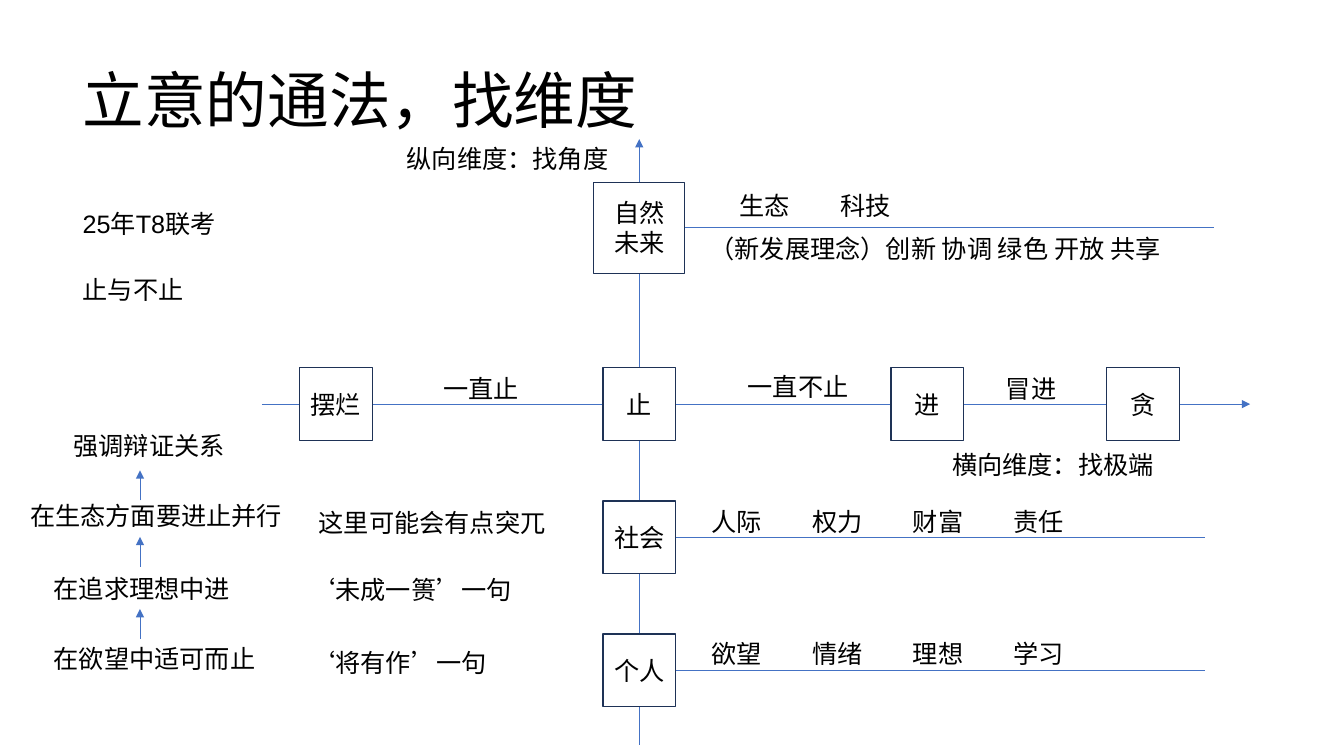
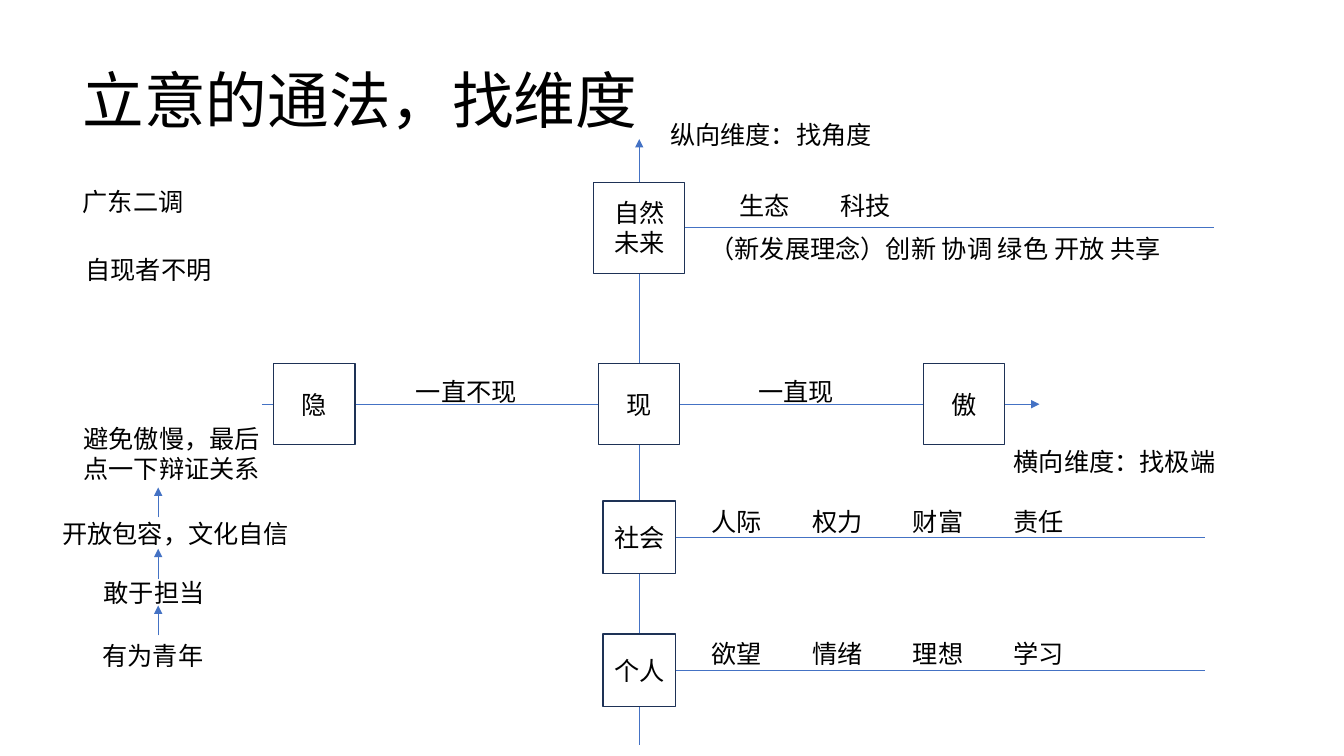
from lxml.etree import SubElement
from pptx import Presentation
from pptx.dml.color import RGBColor
from pptx.enum.lang import MSO_LANGUAGE_ID
from pptx.enum.shapes import MSO_CONNECTOR, MSO_SHAPE
from pptx.enum.text import MSO_ANCHOR, MSO_AUTO_SIZE, PP_ALIGN
from pptx.oxml.ns import qn
from pptx.util import Pt

BLACK = RGBColor(0x00, 0x00, 0x00)
WHITE = RGBColor(0xFF, 0xFF, 0xFF)
BLUE = RGBColor(0x44, 0x72, 0xC4)
NAVY = RGBColor(0x1E, 0x32, 0x56)
LATIN_FONT = "Arial"
CHINESE_FONT = "Noto Sans CJK SC"

TITLE = "立意的通法，找维度"
AXIS_X, AXIS_Y = 456.6, 288.7
AXIS_LEFT, AXIS_TOP, AXIS_BOTTOM = 187, 99.4, 532
NODE_SIZE = 52
BRANCH_LENGTH = 378
STEP_LENGTH = 21.4

# Levels of the vertical axis: name, centre height, box size
LEVELS = [("自然未来", 162.7, 65), ("社会", 383.8, NODE_SIZE), ("个人", 478.8, NODE_SIZE)]

# Notes: text, left, top, width
LEVEL_NOTES = [
    ("生态\t科技", 521.3, 132.5, 281),
    ("（新发展理念）创新 协调 绿色 开放 共享", 499.7, 163.4, 392),
    ("人际\t权力\t财富\t责任", 501, 357.8, 342),
    ("欲望\t情绪\t理想\t学习", 501, 452.5, 350),
]

STOPPING = {
    "axis_end": 893,
    "node_size": NODE_SIZE,
    "nodes": [("摆烂", 240), ("止", AXIS_X), ("进", 662.4), ("贪", 816.5)],
    "step_x": 100,
    "step_tops": [435, 383.5, 336],
    "notes": [
        ("横向维度：找极端", 673, 317.5, 169),
        ("纵向维度：找角度", 283.5, 98.6, 197),
        ("一直止", 309.6, 263, 76),
        ("一直不止", 527, 262, 103),
        ("冒进", 711.4, 262.8, 59),
        ("25年T8联考", 52, 145.5, 174),
        ("止与不止", 52, 192.5, 148),
        ("强调辩证关系", 45.5, 304, 125),
        ("在生态方面要进止并行", 14.4, 353.8, 216),
        ("在追求理想中进", 31.3, 406, 158),
        ("在欲望中适可而止", 31.3, 456.3, 174),
        ("这里可能会有点突兀", 220.5, 358.8, 192),
        ("‘未成一篑’一句", 214.5, 407, 171),
        ("‘将有作’一句", 214.5, 459, 171),
    ],
}

SHOWING = {
    "axis_end": 742.5,
    "node_size": 58,
    "nodes": [("隐", AXIS_X - 232), ("现", AXIS_X), ("傲", AXIS_X + 232)],
    "step_x": 113,
    "step_tops": [432.5, 392, 348.2],
    "notes": [
        ("横向维度：找极端", 717, 315, 169),
        ("纵向维度：找角度", 471.6, 81.8, 197),
        ("一直不现", 290, 265.2, 105),
        ("一直现", 534.5, 265.2, 105),
        ("广东二调", 52, 129.6, 144),
        ("自现者不明", 54, 178, 145),
        ("避免傲慢，最后点一下辩证关系", 52.5, 299, 145.5),
        ("开放包容，文化自信", 37.4, 366.6, 211),
        ("敢于担当", 67, 409, 99),
        ("有为青年", 66.2, 453.8, 145),
    ],
}


def write(shape, text, size=18, latin=LATIN_FONT):
    frame = shape.text_frame
    frame.word_wrap = True
    frame.text = text
    for run in frame.paragraphs[0].runs:
        run.font.size = Pt(size)
        run.font.color.rgb = BLACK
        run.font.name = latin
        run.font.language_id = MSO_LANGUAGE_ID.SIMPLIFIED_CHINESE
        SubElement(run._r.get_or_add_rPr(), qn("a:ea"), typeface=CHINESE_FONT)
    return frame


def add_title(slide):
    title = slide.shapes.add_textbox(Pt(52), Pt(46.8), Pt(828), Pt(104.4))
    frame = write(title, TITLE, 44, CHINESE_FONT)
    frame.paragraphs[0].line_spacing = 0.9


def add_note(slide, text, left, top, width):
    note = slide.shapes.add_textbox(Pt(left), Pt(top), Pt(width), Pt(29))
    write(note, text).auto_size = MSO_AUTO_SIZE.SHAPE_TO_FIT_TEXT


def add_node(slide, text, center_x, center_y, size):
    node = slide.shapes.add_shape(
        MSO_SHAPE.RECTANGLE, Pt(center_x - size / 2), Pt(center_y - size / 2),
        Pt(size), Pt(size))
    node.shadow.inherit = False
    node.fill.solid()
    node.fill.fore_color.rgb = WHITE
    node.line.color.rgb = NAVY
    node.line.width = Pt(1)
    frame = write(node, text)
    frame.vertical_anchor = MSO_ANCHOR.MIDDLE
    frame.paragraphs[0].alignment = PP_ALIGN.CENTER
    return node


def add_line(slide, x1, y1, x2, y2, arrow=False):
    line = slide.shapes.add_connector(
        MSO_CONNECTOR.STRAIGHT, Pt(x1), Pt(y1), Pt(x2), Pt(y2))
    line.line.color.rgb = BLUE
    line.line.width = Pt(0.5)
    properties = line._element.spPr
    if arrow:
        SubElement(properties.find(qn("a:ln")), qn("a:tailEnd"), type="triangle")
    SubElement(properties, qn("a:effectLst"))
    return line


def add_levels(slide):
    """Draw the boxes on the vertical axis, each with its branch to the right."""
    for name, y, size in LEVELS:
        level = add_node(slide, name, AXIS_X, y, size)
        start = AXIS_X + size / 2
        branch = add_line(slide, start, y, start + BRANCH_LENGTH, y)
        branch.begin_connect(level, 3)


def add_dimension_slide(prs, topic):
    slide = prs.slides.add_slide(prs.slide_layouts[6])
    add_title(slide)
    add_line(slide, AXIS_LEFT, AXIS_Y, topic["axis_end"], AXIS_Y, arrow=True)
    add_line(slide, AXIS_X, AXIS_BOTTOM, AXIS_X, AXIS_TOP, arrow=True)
    add_levels(slide)
    for name, x in topic["nodes"]:
        add_node(slide, name, x, AXIS_Y, topic["node_size"])
    for note in LEVEL_NOTES + topic["notes"]:
        add_note(slide, *note)
    step_x = topic["step_x"]
    for top in topic["step_tops"]:
        add_line(slide, step_x, top + STEP_LENGTH, step_x, top, arrow=True)


def main():
    prs = Presentation()
    prs.slide_width, prs.slide_height = Pt(960), Pt(540)
    for topic in (STOPPING, SHOWING):
        add_dimension_slide(prs, topic)
    prs.save("out.pptx")


if __name__ == "__main__":
    main()
